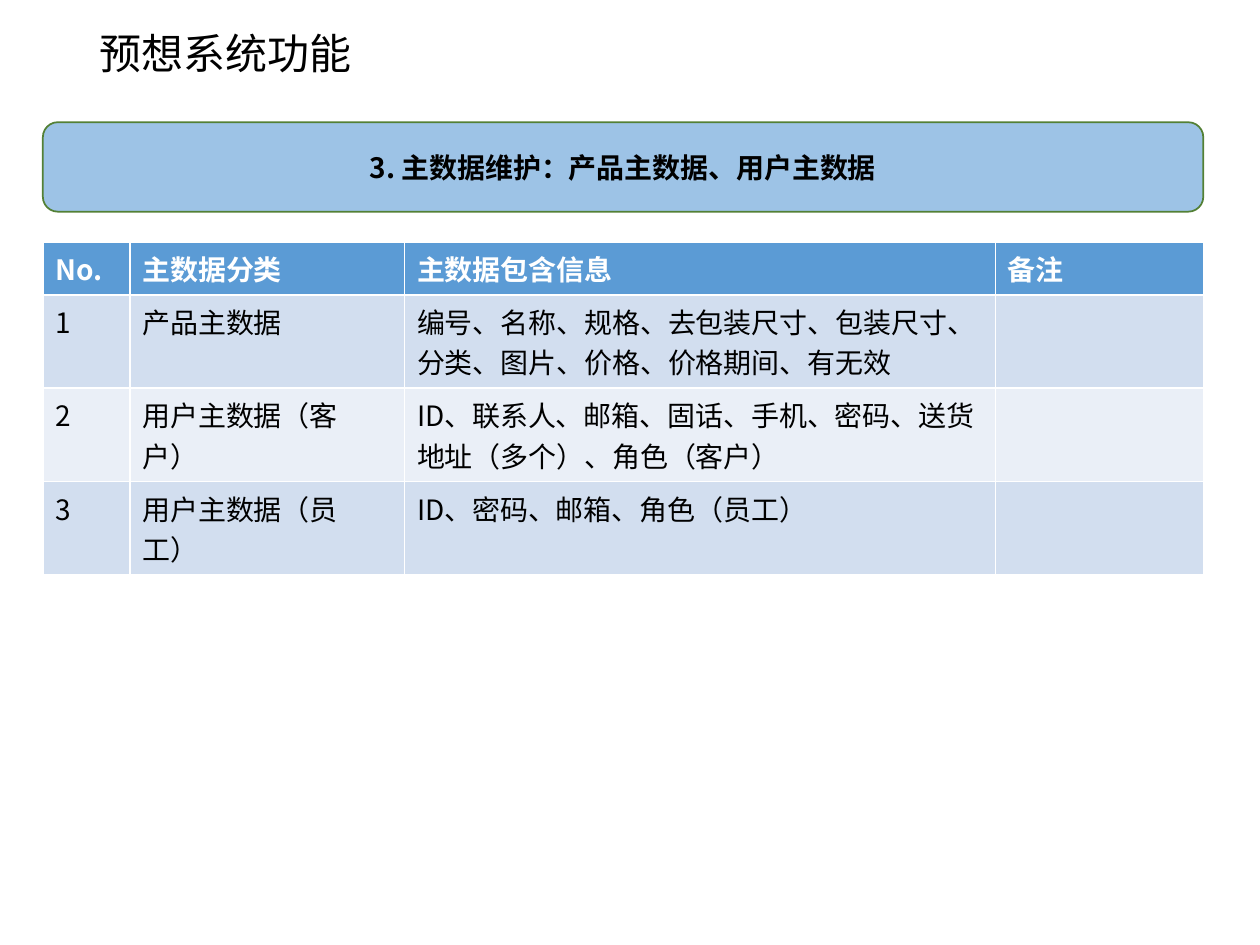
"""Build the slide on planned system functions: master data maintenance."""
from dataclasses import dataclass

from lxml import etree
from pptx import Presentation
from pptx.dml.color import RGBColor
from pptx.enum.shapes import MSO_SHAPE
from pptx.enum.text import MSO_ANCHOR, PP_ALIGN
from pptx.oxml.ns import qn
from pptx.text.text import TextFrame
from pptx.util import Inches, Pt

ROUNDED = MSO_SHAPE.ROUNDED_RECTANGLE
MIDDLE = MSO_ANCHOR.MIDDLE
LEFT, CENTER = PP_ALIGN.LEFT, PP_ALIGN.CENTER

FONT = "Noto Sans CJK SC"
BLACK = RGBColor(0x00, 0x00, 0x00)
WHITE = RGBColor(0xFF, 0xFF, 0xFF)
BANNER_BLUE = RGBColor(0x9D, 0xC3, 0xE6)
BANNER_GREEN = RGBColor(0x53, 0x80, 0x35)
HEADER_BLUE = RGBColor(0x5B, 0x9B, 0xD5)
BANDS = (RGBColor(0xD2, 0xDE, 0xEF), RGBColor(0xEA, 0xEF, 0xF7))

MARGIN, CONTENT_WIDTH = Inches(0.34), Inches(9.21)
COLUMN_WIDTHS = (0.69, 2.18, 4.69, 1.65)
ROW_HEIGHT = Inches(0.41)


@dataclass(frozen=True)
class MasterData:
    category: str
    fields: str
    remark: str = ""


HEADINGS = ("No.", "主数据分类", "主数据包含信息", "备注")
MASTER_DATA = (
    MasterData("产品主数据", "编号、名称、规格、去包装尺寸、包装尺寸、分类、图片、价格、价格期间、有无效"),
    MasterData("用户主数据(客户)".replace("(", "（").replace(")", "）"),
               "ID、联系人、邮箱、固话、手机、密码、送货地址（多个）、角色（客户）"),
    MasterData("用户主数据（员工）", "ID、密码、邮箱、角色（员工）"),
)


def write(frame: TextFrame, text: str, size: float, color: RGBColor,
          bold: bool = False, align: PP_ALIGN = LEFT) -> None:
    frame.text = text
    paragraph = frame.paragraphs[0]
    paragraph.alignment = align
    paragraph.font.size = Pt(size)
    for run in paragraph.runs:
        run.font.size = Pt(size)
        run.font.bold = bold
        run.font.color.rgb = color
        run.font.name = FONT
        east_asian = etree.SubElement(run.font._element, qn("a:ea"))
        east_asian.set("typeface", FONT)


def add_banner(slide, text: str) -> None:
    banner = slide.shapes.add_shape(
        ROUNDED, MARGIN, Inches(0.97), CONTENT_WIDTH, Inches(0.71))
    banner.shadow.inherit = False
    banner.fill.solid()
    banner.fill.fore_color.rgb = BANNER_BLUE
    banner.line.color.rgb = BANNER_GREEN
    banner.line.width = Pt(1)
    banner.text_frame.vertical_anchor = MIDDLE
    write(banner.text_frame, text, 16, BLACK, True, CENTER)


def add_master_data_table(slide) -> None:
    entries = [(str(number), item.category, item.fields, item.remark)
               for number, item in enumerate(MASTER_DATA, 1)]
    rows = [HEADINGS, *entries]
    table = slide.shapes.add_table(
        len(rows), len(HEADINGS), MARGIN, Inches(1.92),
        CONTENT_WIDTH, ROW_HEIGHT * len(rows)).table
    for column, width in zip(table.columns, COLUMN_WIDTHS):
        column.width = Inches(width)
    for row_index, texts in enumerate(rows):
        is_header = row_index == 0
        fill = HEADER_BLUE if is_header else BANDS[(row_index - 1) % 2]
        color = WHITE if is_header else BLACK
        for column_index, text in enumerate(texts):
            cell = table.cell(row_index, column_index)
            cell.fill.solid()
            cell.fill.fore_color.rgb = fill
            write(cell.text_frame, text, 16, color, is_header)


presentation = Presentation()
presentation.slide_width, presentation.slide_height = Inches(10), Inches(7.5)
slide = presentation.slides.add_slide(presentation.slide_layouts[5])

heading = slide.shapes.title
heading.left, heading.top = Inches(0.69), Inches(0.17)
heading.width, heading.height = Inches(8.62), Inches(0.55)
heading.text_frame.vertical_anchor = MIDDLE
write(heading.text_frame, "预想系统功能", 24, BLACK)
heading.text_frame.paragraphs[0].line_spacing = 0.9

add_banner(slide, "3. 主数据维护：产品主数据、用户主数据")
add_master_data_table(slide)

presentation.save("out.pptx")
